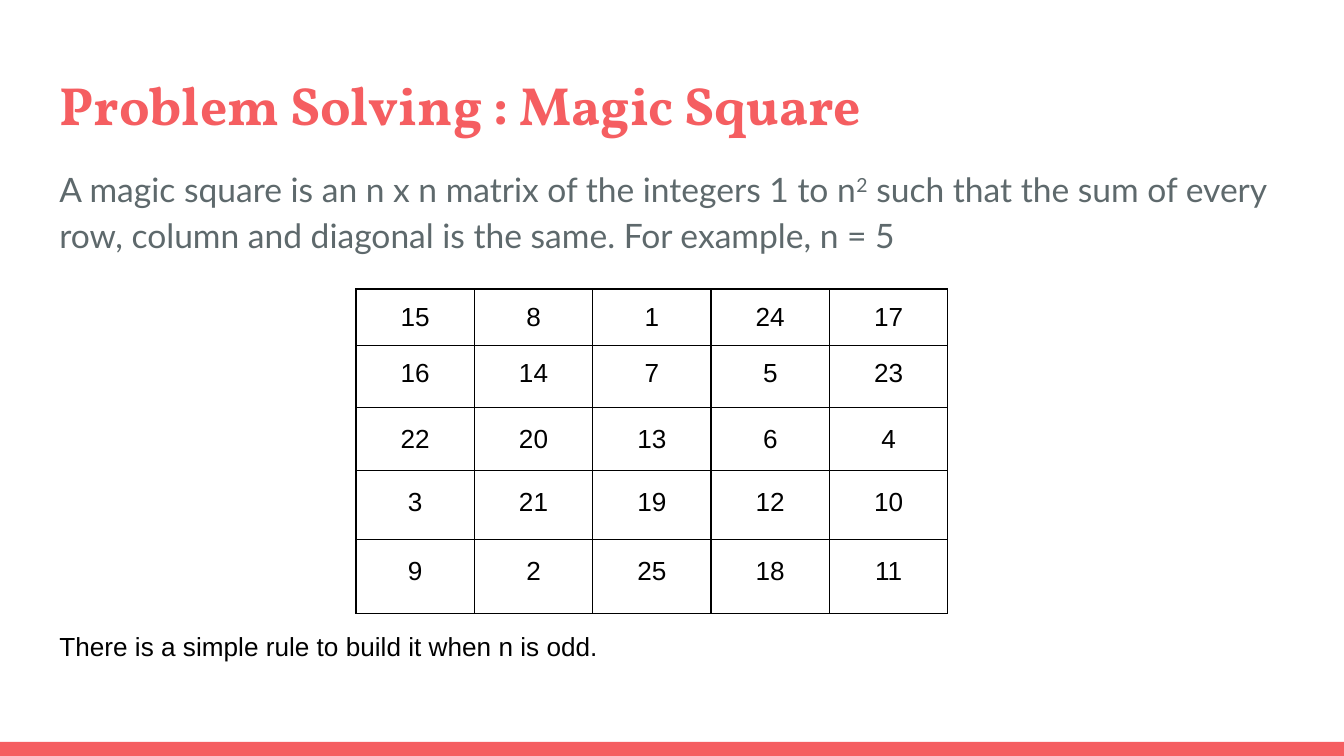
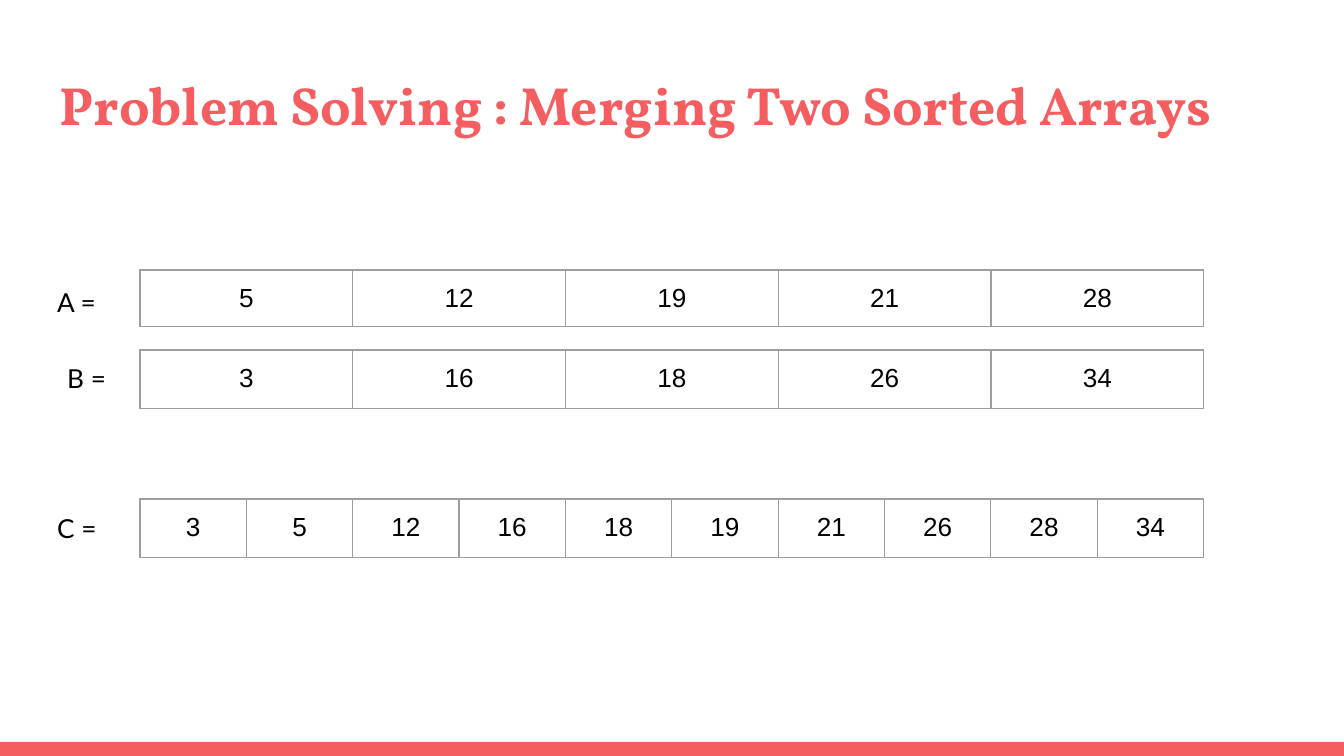
from lxml import etree
from pptx import Presentation
from pptx import util as u
from pptx.dml.color import RGBColor
from pptx.enum import shapes, text
from pptx.oxml import ns

SCALE = 914400 / 134.4
COLORS = {"coral": "F55E61", "slate": "5E696C", "black": "000000",
          "gray": "9E9E9E", "white": "FFFFFF"}
FORMATS = {
    "title": {"name": "Vollkorn", "size": u.Pt(28.8), "bold": True, "color": "coral"},
    "body": {"name": "Lato", "size": u.Pt(18), "color": "slate"},
    "note": {"name": "Arial", "size": u.Pt(14), "color": "black"},
    "label": {"name": "Lato", "size": u.Pt(14), "color": "black"},
}
TITLE_BOX = (46, 58, 1253, 91)
BODY_BOX = (46, 149, 1253, 563)
BAND_BOX = (0, 742, 1344, 14)
SQUARE_BOX = (356, 289, 592, 323)
SQUARE_ROW_HEIGHTS = (55, 62, 63, 69, 74)
MAGIC_SQUARE = [
    [15, 8, 1, 24, 17],
    [16, 14, 7, 5, 23],
    [22, 20, 13, 6, 4],
    [3, 21, 19, 12, 10],
    [9, 2, 25, 18, 11],
]
ARRAYS = [
    ("A =", (44, 273, 73, 59), (140, 270, 1064, 56), [5, 12, 19, 21, 28]),
    ("B =", (54, 349, 73, 59), (140, 350, 1064, 56), [3, 16, 18, 26, 34]),
    ("C =", (44, 499, 73, 59), (140, 499, 1064, 56),
     [3, 5, 12, 16, 18, 19, 21, 26, 28, 34]),
]


def px(length):
    """Turn pixels into EMU."""
    return u.Emu(round(length * SCALE))


def rgb(name):
    """Return the named colour."""
    return RGBColor.from_string(COLORS[name])


def set_attributes(target, values):
    """Set each attribute in a dict of format values."""
    for name, value in values.items():
        setattr(target, name, value)


def add_run(paragraph, words, style):
    """Append a run in one of the shared formats."""
    run = paragraph.add_run()
    run.text = words
    values = dict(FORMATS[style])
    run.font.color.rgb = rgb(values.pop("color"))
    set_attributes(run.font, values)
    return run


def place(shape, box):
    """Move a shape to its box."""
    set_attributes(shape, dict(zip(("left", "top", "width", "height"), map(px, box))))


def set_frame(frame, auto_size=text.MSO_AUTO_SIZE.NONE):
    """Give a text frame the shared insets, wrapping and anchor."""
    margins = {f"margin_{side}": u.Inches(0.1) for side in ("left", "right", "top", "bottom")}
    set_attributes(frame, {**margins, "word_wrap": True, "auto_size": auto_size,
                           "vertical_anchor": text.MSO_ANCHOR.TOP})


def add_band(presentation, slide):
    """Put the coral bottom band on the slide master."""
    band = slide.shapes.add_shape(shapes.MSO_SHAPE.RECTANGLE, *map(px, BAND_BOX))
    band.shadow.inherit = False
    band.fill.solid()
    band.fill.fore_color.rgb = rgb("coral")
    band.line.fill.background()
    band.element.nvSpPr.cNvPr.set("id", "20")
    presentation.slide_master.shapes.element.insert(2, band.element)


def add_titled_slide(presentation, layout, title):
    """Add a slide with the shared title style."""
    slide = presentation.slides.add_slide(presentation.slide_layouts[layout])
    place(slide.shapes.title, TITLE_BOX)
    frame = slide.shapes.title.text_frame
    set_frame(frame)
    frame.paragraphs[0].alignment = text.PP_ALIGN.LEFT
    add_run(frame.paragraphs[0], title, "title")
    return slide


def set_borders(cell, color):
    """Draw thin lines on all four sides of a cell."""
    properties = cell._tc.get_or_add_tcPr()
    for side in ("lnL", "lnR", "lnT", "lnB"):
        line = etree.SubElement(properties, ns.qn(f"a:{side}"), w=str(u.Pt(0.75)))
        fill = etree.SubElement(line, ns.qn("a:solidFill"))
        etree.SubElement(fill, ns.qn("a:srgbClr"), val=COLORS[color])


def add_grid(slide, box, rows, heights, color, row_formats):
    """Add a table of centred numbers with equal columns."""
    count = len(rows[0])
    table = slide.shapes.add_table(len(rows), count, *map(px, box)).table
    set_attributes(table, {"first_row": False, "horz_banding": False})
    for column in table.columns:
        column.width = px(box[2] / count)
    for row, height, numbers, values in zip(table.rows, heights, rows, row_formats):
        row.height = px(height)
        for cell, number in zip(row.cells, numbers):
            set_borders(cell, color)
            cell.fill.background()
            set_attributes(cell, {f"margin_{side}": u.Inches(0.1)
                                  for side in ("left", "right", "top", "bottom")})
            paragraph = cell.text_frame.paragraphs[0]
            set_attributes(paragraph, {"alignment": text.PP_ALIGN.CENTER, **values})
            add_run(paragraph, str(number), "note")


def add_explanation(body):
    """Fill the body with the definition and the closing remark."""
    place(body, BODY_BOX)
    frame = body.text_frame
    set_frame(frame)
    definition, remark = frame.paragraphs[0], frame.add_paragraph()
    set_attributes(definition, {"line_spacing": 1.15, "space_before": u.Pt(0)})
    set_attributes(remark, {"alignment": text.PP_ALIGN.JUSTIFY, "space_before": u.Pt(201)})
    for paragraph in (definition, remark):
        properties = paragraph._p.get_or_add_pPr()
        properties.set("marL", "0")
        properties.set("indent", "0")
        etree.SubElement(properties, ns.qn("a:buNone"))
    add_run(definition, "A magic square is an n x n matrix of the integers 1 to n", "body")
    exponent = add_run(definition, "2", "body")
    exponent._r.get_or_add_rPr().set("baseline", "30000")
    add_run(definition, " such that the sum of every row, column and diagonal is the same. "
                        "For example, n = 5", "body")
    add_run(remark, "There is a simple rule to build it when n is odd.", "note")


def add_magic_square_slide(presentation):
    """Build the slide that defines a magic square."""
    slide = add_titled_slide(presentation, 1, "Problem Solving : Magic Square")
    add_explanation(slide.placeholders[1])
    gaps = {"space_before": u.Pt(12), "space_after": u.Pt(12)}
    row_formats = [gaps] * 2 + [{**gaps, "line_spacing": 1.15}] * 3
    add_grid(slide, SQUARE_BOX, MAGIC_SQUARE, SQUARE_ROW_HEIGHTS, "black", row_formats)
    return slide


def add_array(slide, label, label_box, box, numbers):
    """Add one labelled array."""
    add_grid(slide, box, [numbers], [box[3]], "gray", [{}])
    label_shape = slide.shapes.add_textbox(*map(px, label_box))
    set_frame(label_shape.text_frame, text.MSO_AUTO_SIZE.SHAPE_TO_FIT_TEXT)
    add_run(label_shape.text_frame.paragraphs[0], label, "label")


def add_merging_slide(presentation):
    """Build the slide that merges two sorted arrays."""
    slide = add_titled_slide(presentation, 5, "Problem Solving : Merging Two Sorted Arrays")
    for array in ARRAYS:
        add_array(slide, *array)


def main():
    """Build and save the presentation."""
    presentation = Presentation()
    set_attributes(presentation, {"slide_width": px(1344), "slide_height": px(756)})
    background = presentation.slide_master.background.fill
    background.solid()
    background.fore_color.rgb = rgb("white")
    add_band(presentation, add_magic_square_slide(presentation))
    add_merging_slide(presentation)
    presentation.save("out.pptx")


if __name__ == "__main__":
    main()
